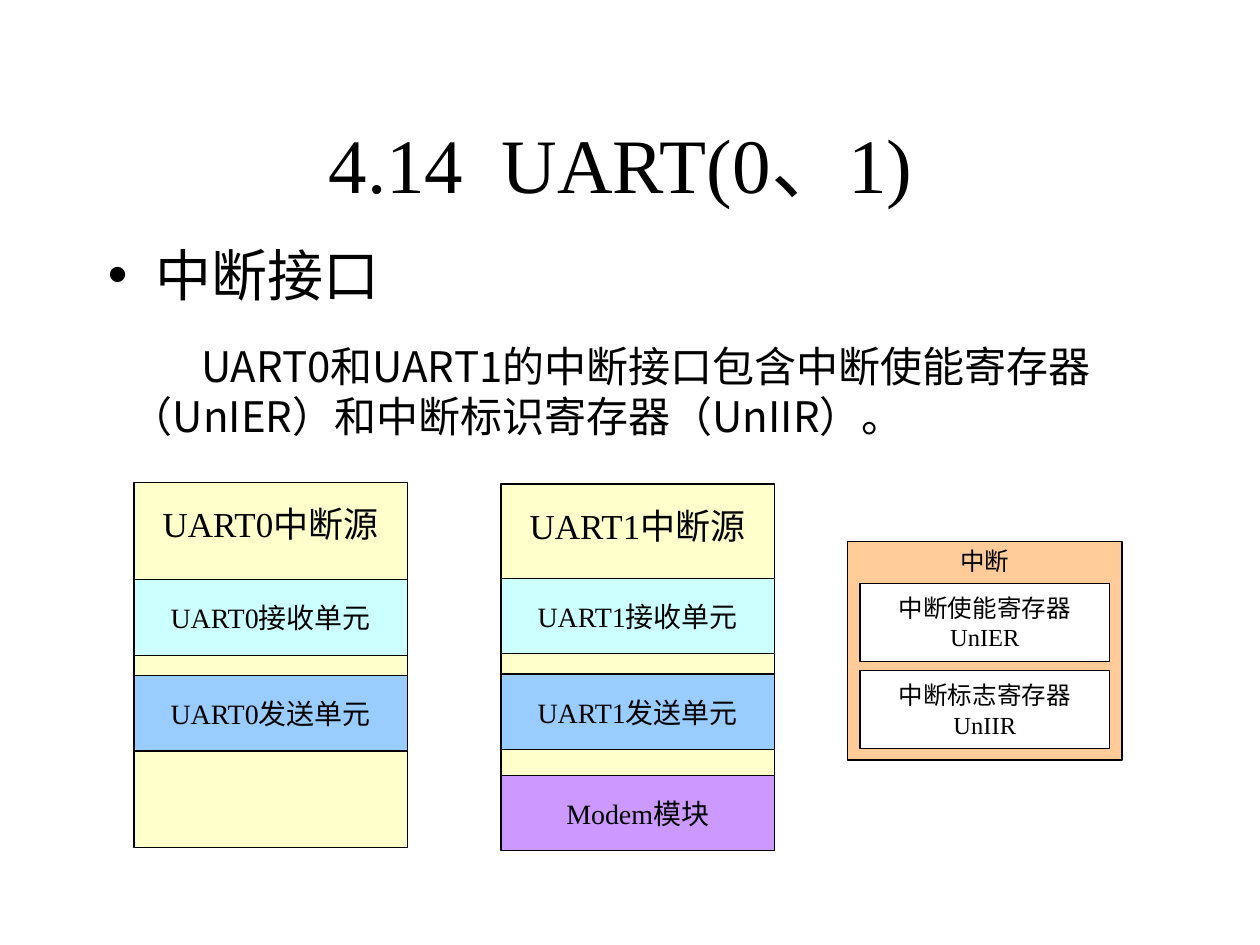
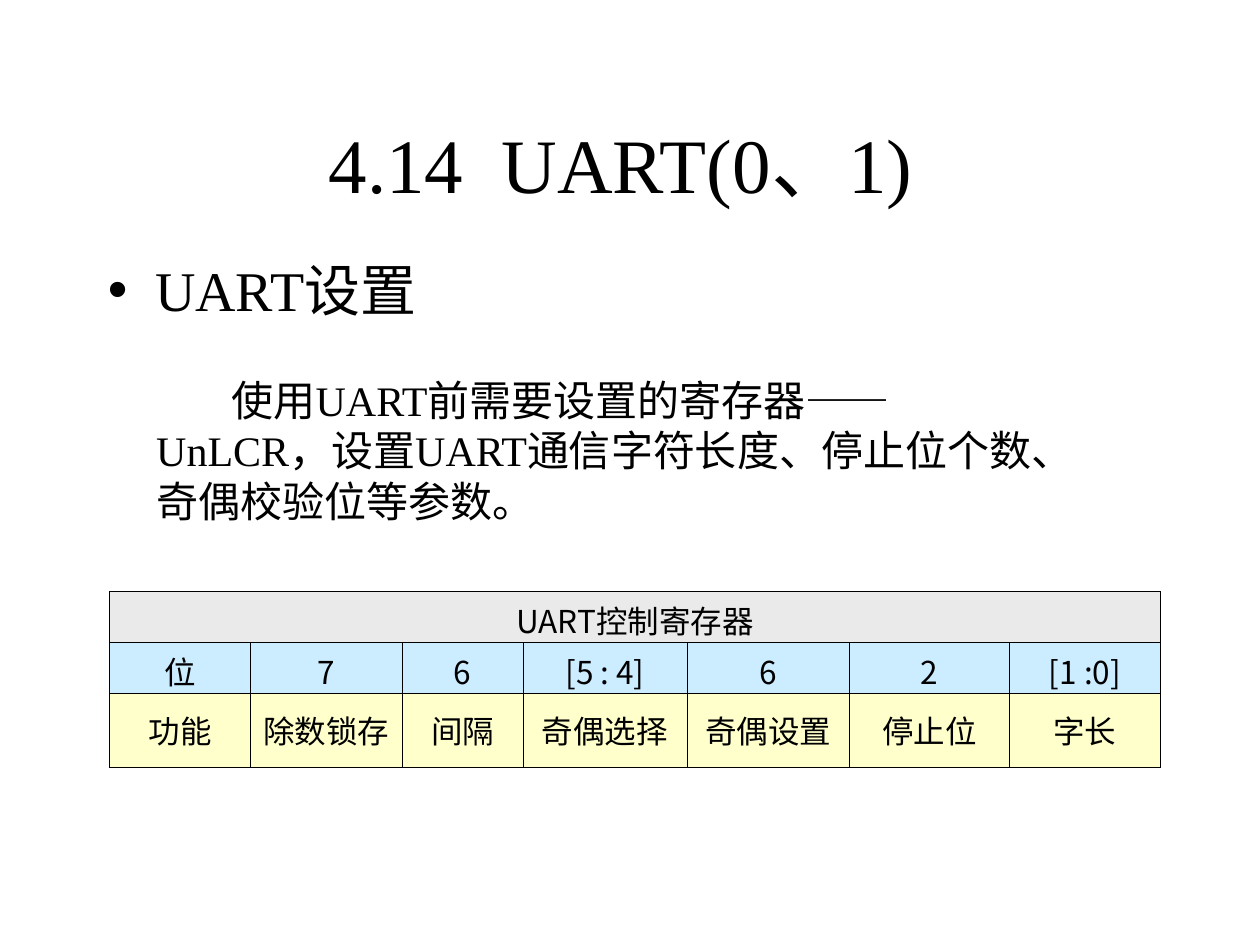
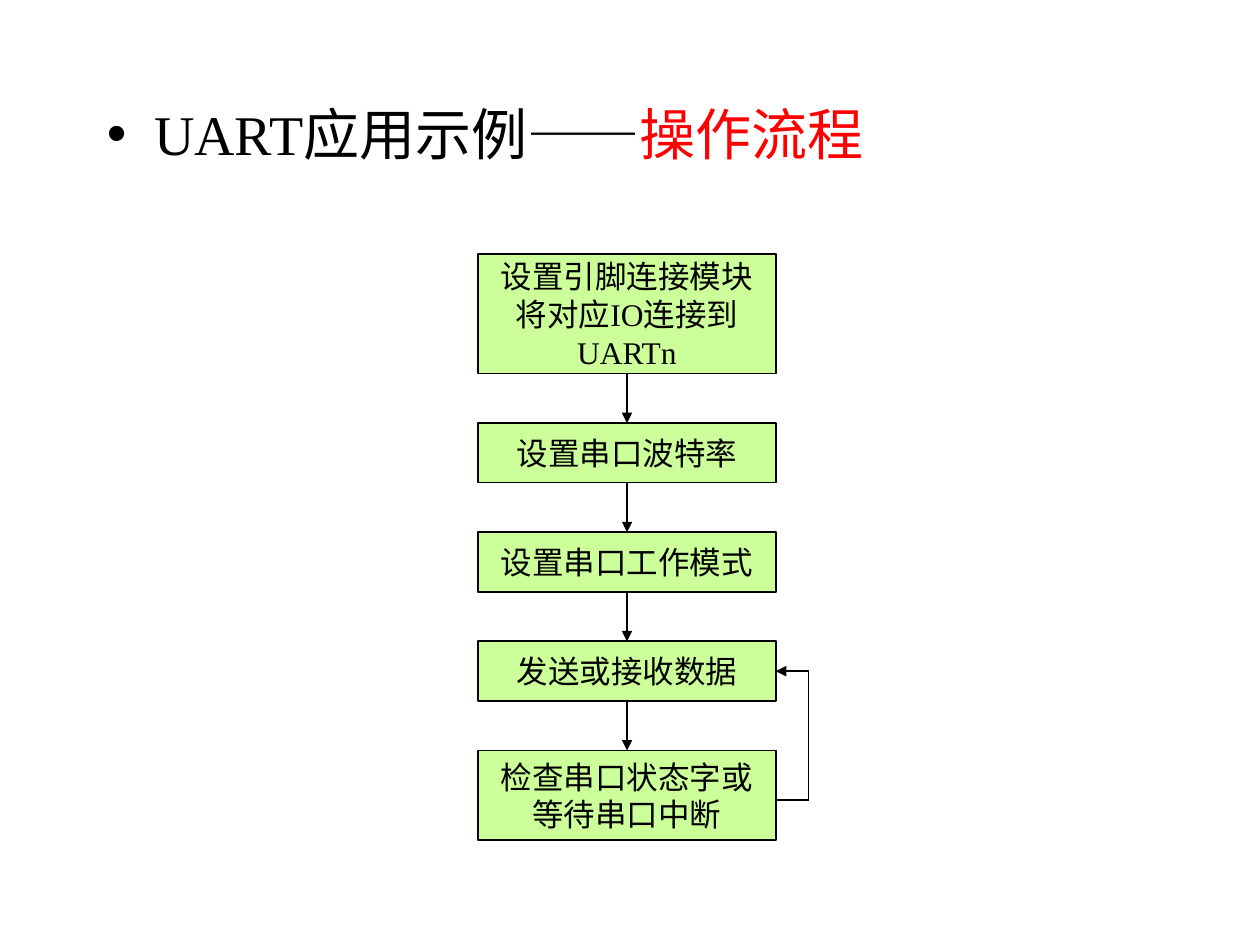
from dataclasses import dataclass

import pptx
import pptx.dml.color
import pptx.enum.shapes
import pptx.enum.text
import pptx.oxml
import pptx.oxml.ns
import pptx.util

Cm, Pt = pptx.util.Cm, pptx.util.Pt
ALIGN = pptx.enum.text.PP_ALIGN
ANCHOR = pptx.enum.text.MSO_ANCHOR
TOP, LEFT, BOTTOM, RIGHT = range(4)


@dataclass(frozen=True)
class Theme:
    serif: str = "Times New Roman"
    sans: str = "Noto Sans CJK JP"
    table_font: str = "Noto Sans CJK SC"
    ink: str = "000000"
    accent: str = "FF0000"
    paper: str = "FFFFFF"
    cream: str = "FFFFCC"
    receive: str = "CCFFFF"
    send: str = "99CCFF"
    modem: str = "CC99FF"
    interrupt: str = "FFCC99"
    step: str = "CCFF99"
    table_title: str = "EAEAEA"
    table_bits: str = "CCECFF"
    title_size: int = 44
    heading_size: int = 32
    body_size: int = 24
    panel_size: int = 20
    step_size: int = 18
    unit_size: int = 16
    register_size: int = 14
    leading: float = 1.2
    thin: float = 0.75
    flow_line: float = 1


THEME = Theme()
SECTION_TITLE = "4.14  UART(0、1) "


def rgb(value):
    return pptx.dml.color.RGBColor.from_string(value)


def format_text(frame, size, align=ALIGN.LEFT, font=THEME.serif):
    for paragraph in frame.paragraphs:
        paragraph.alignment = align
        paragraph.line_spacing = Pt(round(size * THEME.leading, 1))
        paragraph.font.size = Pt(size)
        paragraph.font.name = font
        paragraph.font.color.rgb = rgb(THEME.ink)


def place(shape, left, top, width, height):
    shape.left, shape.top = Cm(left), Cm(top)
    shape.width, shape.height = Cm(width), Cm(height)


def add_label(shapes, box, text, size, align=ALIGN.CENTER, font=THEME.serif):
    label = shapes.add_textbox(*map(Cm, box))
    label.text_frame.word_wrap = True
    label.text_frame.text = text
    format_text(label.text_frame, size, align, font)
    return label


def add_block(shapes, box, fill, text="", size=THEME.unit_size,
              line_width=THEME.thin, wrap=False):
    block = shapes.add_shape(pptx.enum.shapes.MSO_SHAPE.RECTANGLE, *map(Cm, box))
    block.shadow.inherit = False
    block.fill.solid()
    block.fill.fore_color.rgb = rgb(fill)
    block.line.color.rgb = rgb(THEME.ink)
    block.line.width = Pt(line_width)
    if text:
        block.text_frame.text = text
        block.text_frame.word_wrap = wrap
        block.text_frame.vertical_anchor = ANCHOR.MIDDLE
        format_text(block.text_frame, size, ALIGN.CENTER)
    return block


def add_line(shapes, start, end, arrow=False):
    line = shapes.add_connector(pptx.enum.shapes.MSO_CONNECTOR.STRAIGHT, *start, *end)
    line.line.color.rgb = rgb(THEME.ink)
    line.line.width = Pt(THEME.flow_line)
    if arrow:
        tail = pptx.oxml.parse_xml(
            f'<a:tailEnd {pptx.oxml.ns.nsdecls("a")} type="triangle"/>')
        line.line._get_or_add_ln().append(tail)
    line._element.spPr.append(pptx.oxml.parse_xml(
        f'<a:effectLst {pptx.oxml.ns.nsdecls("a")}/>'))
    return line


def new_slide(deck, heading, heading_box, title=None):
    """Add a slide with a bulleted heading and, if given, a section title."""
    slide = deck.slides.add_slide(deck.slide_layouts[1])
    title_holder, heading_holder = slide.placeholders
    if title:
        place(title_holder, 1.91, 1.68, 21.59, 3.18)
        title_holder.text_frame.text = title
        title_holder.text_frame.vertical_anchor = ANCHOR.MIDDLE
        format_text(title_holder.text_frame, THEME.title_size, ALIGN.CENTER)
    else:
        title_holder._element.getparent().remove(title_holder._element)
    place(heading_holder, *heading_box)
    heading_holder.text_frame.text = heading
    heading_holder.text_frame.auto_size = pptx.enum.text.MSO_AUTO_SIZE.NONE
    format_text(heading_holder.text_frame, THEME.heading_size)
    return slide, heading_holder.text_frame.paragraphs[0]


def add_explanation(slide, box, text, first_indent, font=THEME.serif):
    explanation = add_label(slide.shapes, box, text, THEME.body_size, ALIGN.LEFT, font)
    properties = explanation.text_frame.paragraphs[0]._p.get_or_add_pPr()
    properties.set("indent", str(Cm(first_indent)))


def add_source_panel(slide, left, top, heading, units):
    """Draw a UART's interrupt sources; units are (offset, fill, text)."""
    width, height, unit_height = 5.51, 7.36, 1.52
    shapes = slide.shapes.add_group_shape().shapes
    add_block(shapes, (left, top, width, height), THEME.cream)
    add_label(shapes, (left, top + 0.28, width, 1.12), heading, THEME.panel_size)
    for offset, fill, text in units:
        add_block(shapes, (left, top + offset, width, unit_height), fill, text)


def add_interrupt_panel(slide, left, top, registers):
    width, inset, pitch = 5.53, 0.25, 1.76
    shapes = slide.shapes.add_group_shape().shapes
    add_block(shapes, (left, top, width, 4.4), THEME.interrupt)
    add_label(shapes, (left, top - 0.03, width, 0.86), "中断", THEME.register_size)
    for index, register in enumerate(registers):
        box = (left + inset, top + 0.84 + index * pitch, width - 2 * inset, 1.57)
        add_block(shapes, box, THEME.paper, register, THEME.register_size)


def build_interrupt_slide(deck):
    slide, _ = new_slide(deck, "中断接口", (1.92, 4.72, 21.36, 1.7), SECTION_TITLE)
    add_explanation(
        slide, (2.39, 6.73, 20.9, 2.29),
        "UART0和UART1的中断接口包含中断使能寄存器（UnIER）和中断标识寄存器（UnIIR）。",
        1.42, THEME.sans)
    modem = (5.87, THEME.modem, "Modem模块")
    unit_pitch = 1.93
    for uart, left, top, first_unit, extras in (
            ("UART0", 2.7, 9.73, 1.96, []),
            ("UART1", 10.1, 9.76, 1.9, [modem])):
        units = [(first_unit, THEME.receive, f"{uart}接收单元"),
                 (first_unit + unit_pitch, THEME.send, f"{uart}发送单元")]
        add_source_panel(slide, left, top, f"{uart}中断源", units + extras)
    add_interrupt_panel(slide, 17.09, 10.92,
                        ["中断使能寄存器\nUnIER", "中断标志寄存器\nUnIIR"])


def set_cell_borders(cell, widths):
    """Draw the borders; widths are points for left, right, top, bottom."""
    properties = cell._tc.get_or_add_tcPr()
    for index, (side, width) in enumerate(zip("LRTB", widths)):
        properties.insert(index, pptx.oxml.parse_xml(
            f'<a:ln{side} {pptx.oxml.ns.nsdecls("a")} w="{Pt(width)}">'
            f'<a:solidFill><a:srgbClr val="{THEME.ink}"/></a:solidFill></a:ln{side}>'))


def add_register_table(slide, left, top):
    column_widths = [2.84, 3.06, 2.43, 3.31, 3.28, 3.22, 3.04]
    # Each row: height, top and bottom margin, fill, texts
    rows = [
        (1.03, 0.27, 0, THEME.table_title, ["UART控制寄存器"]),
        (1.03, 0.27, 0, THEME.table_bits,
         ["位", "7", "6", "[5 : 4]", "6", "2", "[1 :0]"]),
        (1.48, 0.2, 0.06, THEME.cream,
         ["功能", "除数锁存", "间隔", "奇偶选择", "奇偶设置", "停止位", "字长"]),
    ]
    last_row, last_column = len(rows) - 1, len(column_widths) - 1
    table = slide.shapes.add_table(
        len(rows), len(column_widths), Cm(left), Cm(top),
        Cm(sum(column_widths)), Cm(sum(row[0] for row in rows))).table
    table.first_row = table.horz_banding = False
    for column, width in zip(table.columns, column_widths):
        column.width = Cm(width)
    table.cell(0, 0).merge(table.cell(0, last_column))

    for r, (height, above, below, fill, texts) in enumerate(rows):
        table.rows[r].height = Cm(height)
        for c in range(len(column_widths)):
            cell = table.cell(r, c)
            cell.fill.solid()
            cell.fill.fore_color.rgb = rgb(fill)
            outer_edges = (c == 0, c == last_column or r == 0, r == 0, r == last_row)
            set_cell_borders(cell, [THEME.thin if outer else 0.45
                                    for outer in outer_edges])
            if c < len(texts):
                cell.text = texts[c]
                cell.vertical_anchor = ANCHOR.MIDDLE
                cell.margin_top, cell.margin_bottom = Cm(above), Cm(below)
                format_text(cell.text_frame, THEME.step_size, ALIGN.CENTER,
                            THEME.table_font)


def build_settings_slide(deck):
    slide, _ = new_slide(deck, "UART设置", (1.92, 5.03, 21.36, 1.7), SECTION_TITLE)
    add_explanation(
        slide, (2.9, 7.42, 19.61, 3.3),
        "使用UART前需要设置的寄存器——\vUnLCR，设置UART通信字符长度、停止位个数、"
        "奇偶校验位等参数。", 1.52)
    add_register_table(slide, 2.21, 11.92)


def add_flow(slide, left, top, steps):
    """Stack (height, text) steps with arrows and loop the last one back."""
    width, gap, loop_reach = 6, 1, Cm(0.66)
    shapes = slide.shapes.add_group_shape().shapes
    boxes = []
    for height, text in steps:
        boxes.append(add_block(shapes, (left, top, width, height), THEME.step, text,
                               THEME.step_size, THEME.flow_line, wrap=True))
        top += height + gap
    for upper, lower in zip(boxes, boxes[1:]):
        arrow = add_line(shapes, (upper.left, upper.top), (lower.left, lower.top), True)
        arrow.begin_connect(upper, BOTTOM)
        arrow.end_connect(lower, TOP)

    target, source = boxes[-2:]
    right = source.left + source.width
    source_y = source.top + Cm(1)
    target_y = target.top + target.height // 2
    outer = right + loop_reach
    add_line(shapes, (right, source_y), (outer, source_y))
    add_line(shapes, (outer, source_y), (outer, target_y))
    returning = add_line(shapes, (outer, target_y), (right, target_y), True)
    returning.end_connect(target, RIGHT)


def build_flow_slide(deck):
    slide, heading = new_slide(deck, "UART应用示例——", (1.9, 1.88, 21.59, 1.7))
    topic = heading.add_run()
    topic.text = "操作流程"
    topic.font.color.rgb = rgb(THEME.accent)
    add_flow(slide, 9.64, 5.12, [
        (2.41, "设置引脚连接模块将对应IO连接到UARTn"),
        (1.2, "设置串口波特率"),
        (1.2, "设置串口工作模式"),
        (1.2, "发送或接收数据"),
        (1.81, "检查串口状态字或\n等待串口中断"),
    ])


def main():
    deck = pptx.Presentation()
    deck.slide_width, deck.slide_height = Cm(25.4), Cm(19.05)
    build_interrupt_slide(deck)
    build_settings_slide(deck)
    build_flow_slide(deck)
    deck.save("out.pptx")


if __name__ == "__main__":
    main()
